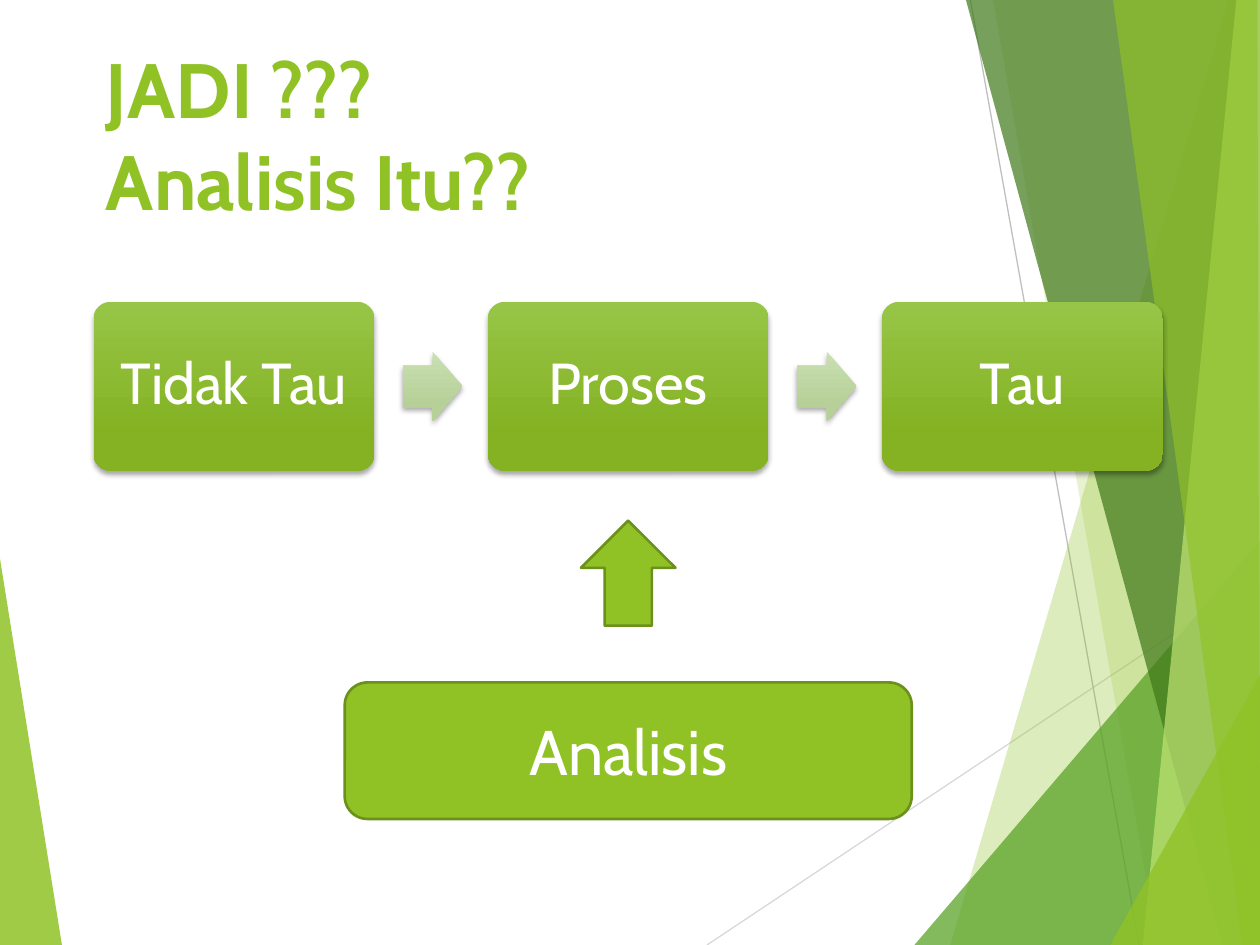
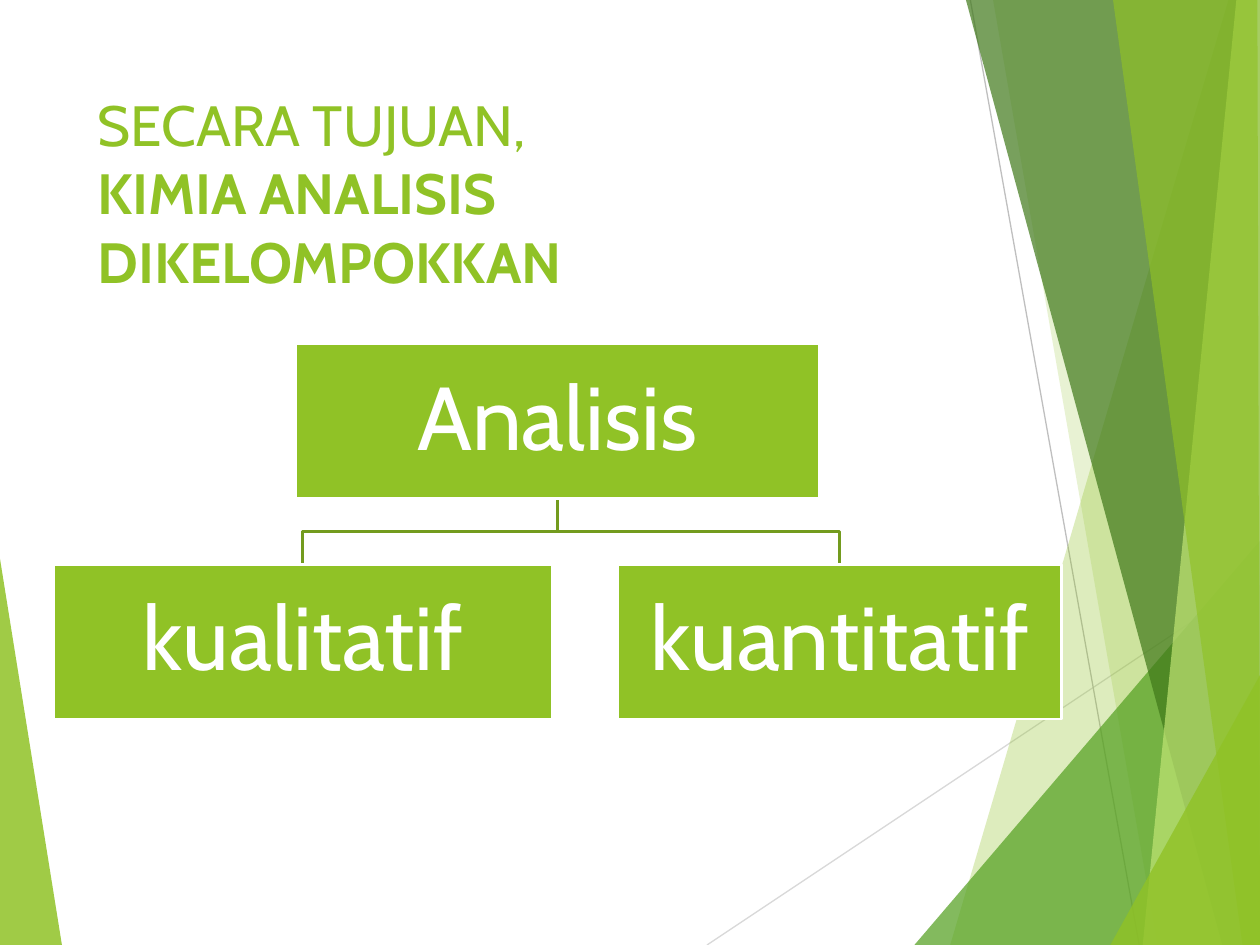
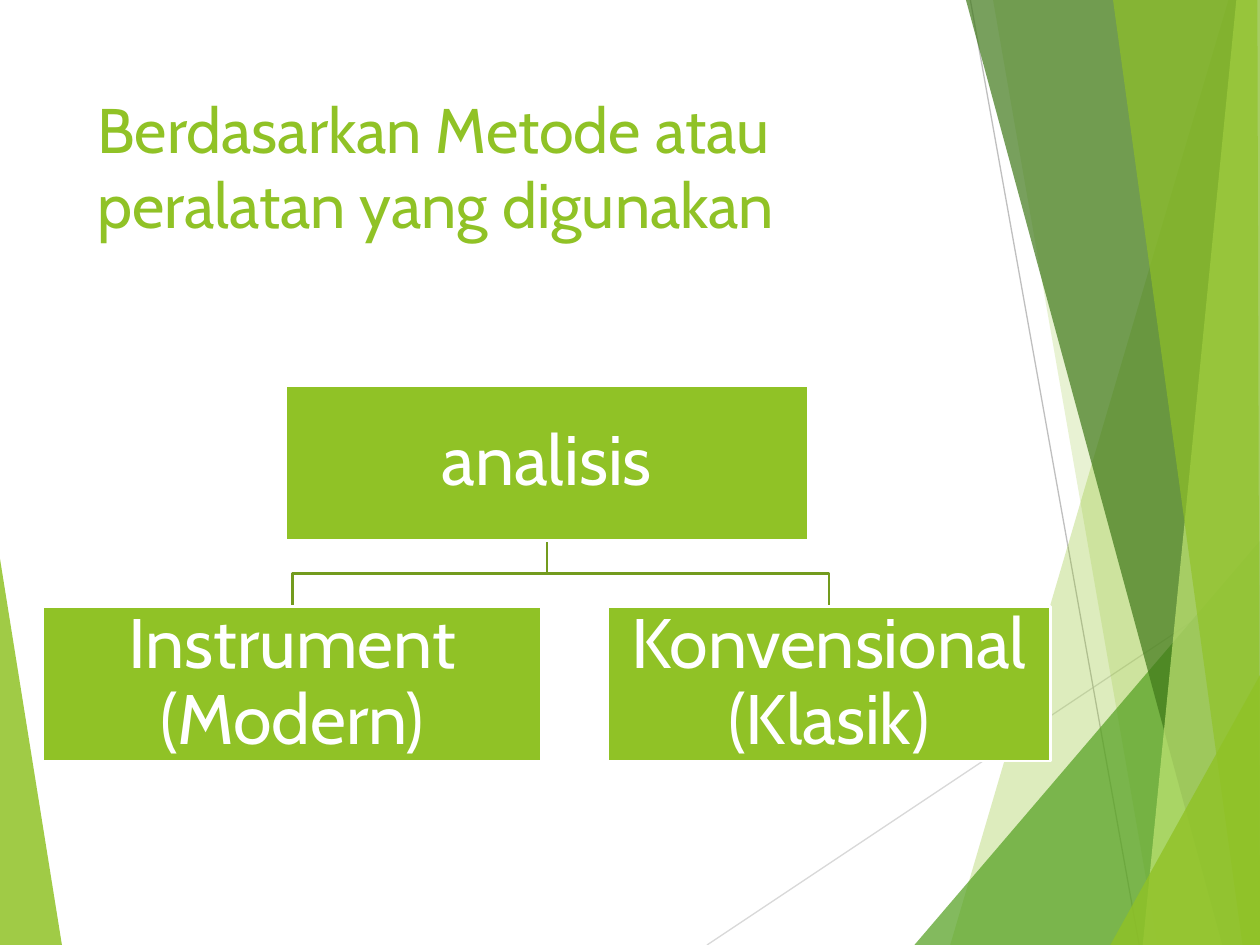
from dataclasses import dataclass

from lxml import etree
from pptx import Presentation
from pptx import util as u
from pptx.dml.color import RGBColor
from pptx.enum import shapes, text
from pptx.oxml.ns import qn


@dataclass(frozen=True)
class Theme:
    font: str = "Cabin"
    green: str = "90C226"
    green_edge: str = "6B901C"
    branch: str = "739B1E"
    leaf: str = "54A021"
    forest: str = "3F7819"
    lime: str = "C0E474"
    white: str = "FFFFFF"
    pale_line: str = "D9D9D9"
    grey_line: str = "BFBFBF"
    box_gradient: tuple = ("97C547", "84B223")
    arrow_gradient: tuple = ("C9DFB1", "B6D098")
    outline: float = 1.5
    hairline: float = 0.75
    flow_size: float = 33
    base_size: float = 36


THEME = Theme()
WIDTH, HEIGHT = 720, 540
EDGE = 720.5

# Background facets, back to front: colour, opacity in percent, corners
LEFT_FACET = (THEME.green, 85, [(-0.5, 316), (35.5, 540.5), (-0.5, 540)])
BACKGROUND_LINES = [
    (THEME.pale_line, (404, 540), (EDGE, 329)),
    (THEME.grey_line, (554.5, 0), (651, 540)),
]
RIGHT_FACETS = [
    (THEME.green, 30, [(702, 0), (543, 540), (EDGE, 540), (EDGE, 0)]),
    (THEME.green, 20, [(567.5, 0), (661.5, 540), (EDGE, 540), (EDGE, 0)]),
    (THEME.leaf, 72, [(522.5, 540), (720, 309), (EDGE, 540)]),
    (THEME.forest, 70, [(552, 0), (698.5, 540), (EDGE, 540), (EDGE, 0)]),
    (THEME.lime, 70, [(706.5, 0), (653, 540), (EDGE, 540), (720, 0)]),
    (THEME.green, 65, [(636, 0), (710, 540), (720, 540), (718.5, 0)]),
    (THEME.green, 80, [(634.5, 540), (EDGE, 385), (EDGE, 540)]),
]

FLOW = {
    "title": [("JADI ???", True), ("Analisis Itu??", True)],
    "title_box": (53.5, 20, 612, 126),
    "title_size": 44,
    "steps": ["Tidak Tau", "Proses", "Tau"],
    "base": "Analisis",
}
TREE_TITLE_BOX = (48.5, 48, 499.5, 103.5)
TREES = [
    {
        "title": [("SECARA TUJUAN,", False), ("KIMIA ANALISIS DIKELOMPOKKAN", True)],
        "title_size": 32.4,
        "root": "Analisis",
        "children": ["kualitatif", "kuantitatif"],
        "size": 51,
        "origin": (30.5, 196.5),
    },
    {
        "title": [("Berdasarkan Metode atau peralatan yang digunakan", False)],
        "title_size": 36,
        "root": "analisis",
        "children": ["Instrument (Modern)", "Konvensional (Klasik)"],
        "size": 40,
        "origin": (24.5, 220.5),
    },
]

STEP_LEFT, STEP_TOP, STEP_WIDTH, STEP_HEIGHT, STEP_PITCH = 53.5, 172.5, 160.5, 96.5, 225.25
ARROW_OFFSET, ARROW_WIDTH, ARROW_HEIGHT = 16.25, 34, 39.5
ROOT_WIDTH, CHILD_WIDTHS, NODE_HEIGHT, NODE_GAP = 299, (285, 253.5), 88.5, 37.5


def points(values):
    return [u.Pt(value) for value in values]


def color(value):
    return RGBColor.from_string(value)


def add_preset(slide, kind, box, fill=None, line=None, adjustments=()):
    shape = slide.shapes.add_shape(kind, *points(box))
    shape.shadow.inherit = False
    for index, value in enumerate(adjustments):
        shape.adjustments[index] = value
    if fill:
        shape.fill.solid()
        shape.fill.fore_color.rgb = color(fill)
    if line:
        shape.line.color.rgb = color(line)
        shape.line.width = u.Pt(THEME.outline)
    else:
        shape.line.fill.background()
    return shape


def add_raised(slide, kind, box, gradient, adjustments):
    """Add a borderless shape with a downward gradient and a soft shadow."""
    shape = add_preset(slide, kind, box, adjustments=adjustments)
    shape.fill.gradient()
    shape.fill.gradient_angle = 270
    for stop, value, position in zip(shape.fill.gradient_stops, gradient, (0, 0.78)):
        stop.color.rgb = color(value)
        stop.position = position
    effects = shape.element.spPr.find(qn("a:effectLst"))
    shadow = etree.SubElement(effects, qn("a:outerShdw"), blurRad=str(u.Pt(3)),
                              dist=str(u.Pt(2)), dir="5400000", rotWithShape="0")
    black = etree.SubElement(shadow, qn("a:srgbClr"), val="000000")
    etree.SubElement(black, qn("a:alpha"), val="35000")
    return shape


def add_outline(slide, corners, close):
    first, *rest = [points(corner) for corner in corners]
    builder = slide.shapes.build_freeform(*first)
    builder.add_line_segments(rest, close=close)
    shape = builder.convert_to_shape()
    shape.shadow.inherit = False
    return shape


def add_facet(slide, fill, opacity, corners):
    shape = add_outline(slide, corners, close=True)
    shape.fill.solid()
    shape.fill.fore_color.rgb = color(fill)
    shape.line.fill.background()
    fill_color = shape.element.spPr.find(qn("a:solidFill"))[0]
    etree.SubElement(fill_color, qn("a:alpha"), val=str(opacity * 1000))


def add_background_line(slide, line_color, start, end):
    line = slide.shapes.add_connector(shapes.MSO_CONNECTOR.STRAIGHT,
                                      *points(start + end))
    line.line.color.rgb = color(line_color)
    line.line.width = u.Pt(THEME.hairline)
    etree.SubElement(line.element.spPr, qn("a:effectLst"))


def style_font(font, size, value):
    font.name = THEME.font
    font.size = u.Pt(size)
    font.color.rgb = color(value)


def set_label(shape, label, size, inset, line_spacing=0.9):
    frame = shape.text_frame
    frame.word_wrap = True
    frame.vertical_anchor = text.MSO_ANCHOR.MIDDLE
    frame.margin_left = frame.margin_right = u.Pt(inset)
    frame.margin_top = frame.margin_bottom = u.Pt(inset)
    paragraph = frame.paragraphs[0]
    paragraph.text = label
    paragraph.alignment = text.PP_ALIGN.CENTER
    paragraph.line_spacing = line_spacing
    style_font(paragraph.font, size, THEME.white)


def add_title(slide, lines, box, size):
    frame = slide.shapes.add_textbox(*points(box)).text_frame
    frame.word_wrap = True
    paragraph = frame.paragraphs[0]
    style_font(paragraph.font, size, THEME.green)
    for index, (line, bold) in enumerate(lines):
        if index:
            paragraph.add_line_break()
        run = paragraph.add_run()
        run.text = line
        run.font.bold = bold


def move_background_to_layout(slide, layout):
    """Draw the background on the slide, then hand it to the shared layout."""
    add_facet(slide, *LEFT_FACET)
    for line in BACKGROUND_LINES:
        add_background_line(slide, *line)
    for facet in RIGHT_FACETS:
        add_facet(slide, *facet)
    for shape in list(slide.shapes):
        layout.shapes.element.append(shape.element)


def build_flow(slide, flow):
    add_title(slide, flow["title"], flow["title_box"], flow["title_size"])
    arrow_top = STEP_TOP + (STEP_HEIGHT - ARROW_HEIGHT) / 2
    for index, step in enumerate(flow["steps"]):
        left = STEP_LEFT + index * STEP_PITCH
        if index:
            arrow_left = left - STEP_PITCH + STEP_WIDTH + ARROW_OFFSET
            add_raised(slide, shapes.MSO_SHAPE.RIGHT_ARROW,
                       (arrow_left, arrow_top, ARROW_WIDTH, ARROW_HEIGHT),
                       THEME.arrow_gradient, (0.6, 0.5))
        box = add_raised(slide, shapes.MSO_SHAPE.ROUNDED_RECTANGLE,
                         (left, STEP_TOP, STEP_WIDTH, STEP_HEIGHT),
                         THEME.box_gradient, (0.1,))
        set_label(box, step, THEME.flow_size, inset=12)
    add_preset(slide, shapes.MSO_SHAPE.UP_ARROW, (332, 297.5, 54, 60),
               THEME.green, THEME.green_edge)
    base = add_preset(slide, shapes.MSO_SHAPE.ROUNDED_RECTANGLE, (197, 390, 324, 78),
                      THEME.green, THEME.green_edge)
    set_label(base, flow["base"], THEME.base_size, inset=4, line_spacing=1)


def build_tree(slide, tree):
    add_title(slide, tree["title"], TREE_TITLE_BOX, tree["title_size"])
    left, top = tree["origin"]
    root_center = left + (sum(CHILD_WIDTHS) + NODE_GAP) / 2
    root_bottom = top + NODE_HEIGHT
    child_top = root_bottom + NODE_GAP
    middle = root_bottom + NODE_GAP / 2

    nodes = [(tree["root"], root_center - ROOT_WIDTH / 2, top, ROOT_WIDTH)]
    for label, width in zip(tree["children"], CHILD_WIDTHS):
        nodes.append((label, left, child_top, width))
        center = left + width / 2
        branch = add_outline(slide, [(root_center, root_bottom), (root_center, middle),
                                     (center, middle), (center, child_top)], close=False)
        branch.fill.background()
        branch.line.color.rgb = color(THEME.branch)
        branch.line.width = u.Pt(THEME.outline)
        left += width + NODE_GAP

    for label, node_left, node_top, width in nodes:
        node = add_preset(slide, shapes.MSO_SHAPE.RECTANGLE,
                          (node_left, node_top, width, NODE_HEIGHT),
                          THEME.green, THEME.white)
        set_label(node, label, tree["size"], inset=2.5)


def main():
    presentation = Presentation()
    presentation.slide_width, presentation.slide_height = points((WIDTH, HEIGHT))
    blank = presentation.slide_layouts[6]
    flow_slide = presentation.slides.add_slide(blank)
    move_background_to_layout(flow_slide, blank)
    build_flow(flow_slide, FLOW)
    for tree in TREES:
        build_tree(presentation.slides.add_slide(blank), tree)
    presentation.save("out.pptx")


if __name__ == "__main__":
    main()
